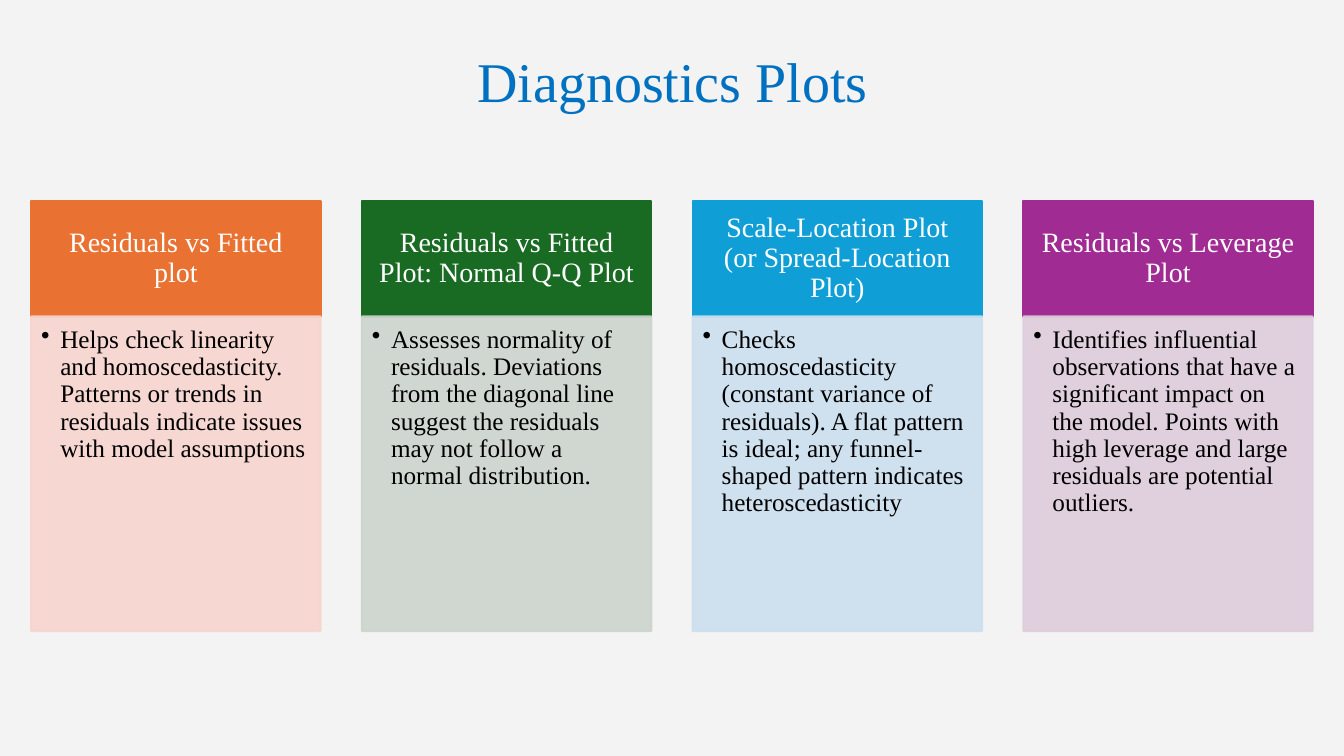
from dataclasses import dataclass

from lxml.etree import SubElement
from pptx import Presentation
from pptx.dml.color import RGBColor
from pptx.enum.shapes import MSO_SHAPE as Shape
from pptx.enum.text import MSO_ANCHOR as Anchor, PP_ALIGN as Align
from pptx.oxml.ns import qn
from pptx.util import Inches, Pt


@dataclass(frozen=True)
class Theme:
    font: str = "Times New Roman"
    background: str = "F3F3F3"
    title: str = "0070C0"
    heading: str = "FFFFFF"
    body: str = "000000"
    title_size: int = 40
    heading_size: int = 20
    body_size: int = 18
    border: float = 1.5
    panel_opacity: int = 90


THEME = Theme()

# heading, description, heading fill, panel fill
PLOTS = [
    ("Residuals vs Fitted plot",
     "Helps check linearity and homoscedasticity. Patterns or trends in "
     "residuals indicate issues with model assumptions",
     "E97132", "F7D5CE"),
    ("Residuals vs Fitted Plot: Normal Q-Q Plot",
     "Assesses normality of residuals. Deviations from the diagonal line "
     "suggest the residuals may not follow a normal distribution.",
     "196B24", "CCD4CD"),
    ("Scale-Location Plot (or Spread-Location Plot)",
     "Checks homoscedasticity (constant variance of residuals). A flat pattern "
     "is ideal; any funnel-shaped pattern indicates heteroscedasticity",
     "0F9ED5", "CCDFEF"),
    ("Residuals vs Leverage Plot",
     "Identifies influential observations that have a significant impact on "
     "the model. Points with high leverage and large residuals are potential "
     "outliers.",
     "A02B93", "DFCDDC"),
]

COLUMN_LEFT, COLUMN_PITCH, COLUMN_WIDTH = 0.31, 3.28, 2.87
HEADING_TOP, HEADING_HEIGHT, PANEL_HEIGHT = 1.99, 1.15, 3.12


def apply_format(target, values):
    for name, value in values.items():
        setattr(target, name, value)


def write_text(shape, text, size, color, align, anchor, insets):
    """Fill the shape with one paragraph; insets run left, top, right, bottom."""
    frame = shape.text_frame
    left, top, right, bottom = (Inches(inset) for inset in insets)
    apply_format(frame, {
        "word_wrap": True, "vertical_anchor": anchor,
        "margin_left": left, "margin_top": top,
        "margin_right": right, "margin_bottom": bottom,
    })
    para = frame.paragraphs[0]
    apply_format(para, {"alignment": align, "line_spacing": 0.9})
    span = para.add_run()
    span.text = text
    apply_format(span.font, {"name": THEME.font, "size": Pt(size)})
    span.font.color.rgb = RGBColor.from_string(color)
    return para


def add_bullet(para):
    properties = para._p.get_or_add_pPr()
    properties.set("marL", str(Inches(0.19)))
    properties.set("indent", str(Inches(-0.19)))
    SubElement(properties, qn("a:buChar")).set("char", "•")


def set_opacity(shape, percent):
    """Make both the fill and the outline partly transparent."""
    for color in shape._element.spPr.iter(qn("a:srgbClr")):
        SubElement(color, qn("a:alpha")).set("val", str(percent * 1000))


def add_block(page, left, top, height, color):
    box = page.shapes.add_shape(
        Shape.RECTANGLE, Inches(left), Inches(top),
        Inches(COLUMN_WIDTH), Inches(height))
    box.shadow.inherit = False
    box.fill.solid()
    box.fill.fore_color.rgb = RGBColor.from_string(color)
    box.line.color.rgb = RGBColor.from_string(color)
    box.line.width = Pt(THEME.border)
    return box


def add_title(page, text):
    box = page.shapes.add_textbox(
        Inches(0.92), Inches(0.4), Inches(11.5), Inches(0.87))
    write_text(box, text, THEME.title_size, THEME.title,
               Align.CENTER, Anchor.MIDDLE, (0.1, 0.05, 0.1, 0.05))


def add_plot_column(page, left, heading, description, heading_fill, panel_fill):
    header = add_block(page, left, HEADING_TOP, HEADING_HEIGHT, heading_fill)
    write_text(header, heading, THEME.heading_size, THEME.heading,
               Align.CENTER, Anchor.MIDDLE, (0.16, 0.09, 0.16, 0.09))

    panel = add_block(page, left, HEADING_TOP + HEADING_HEIGHT,
                      PANEL_HEIGHT, panel_fill)
    set_opacity(panel, THEME.panel_opacity)
    para = write_text(panel, description, THEME.body_size, THEME.body,
                      Align.LEFT, Anchor.TOP, (0.1, 0.1, 0.14, 0.16))
    add_bullet(para)


def main():
    deck = Presentation()
    apply_format(deck, {"slide_width": Inches(13.33),
                        "slide_height": Inches(7.5)})
    page = deck.slides.add_slide(deck.slide_layouts[6])
    page.background.fill.solid()
    page.background.fill.fore_color.rgb = RGBColor.from_string(THEME.background)

    add_title(page, "Diagnostics Plots")
    for index, plot in enumerate(PLOTS):
        add_plot_column(page, COLUMN_LEFT + index * COLUMN_PITCH, *plot)
    deck.save("out.pptx")


if __name__ == "__main__":
    main()
